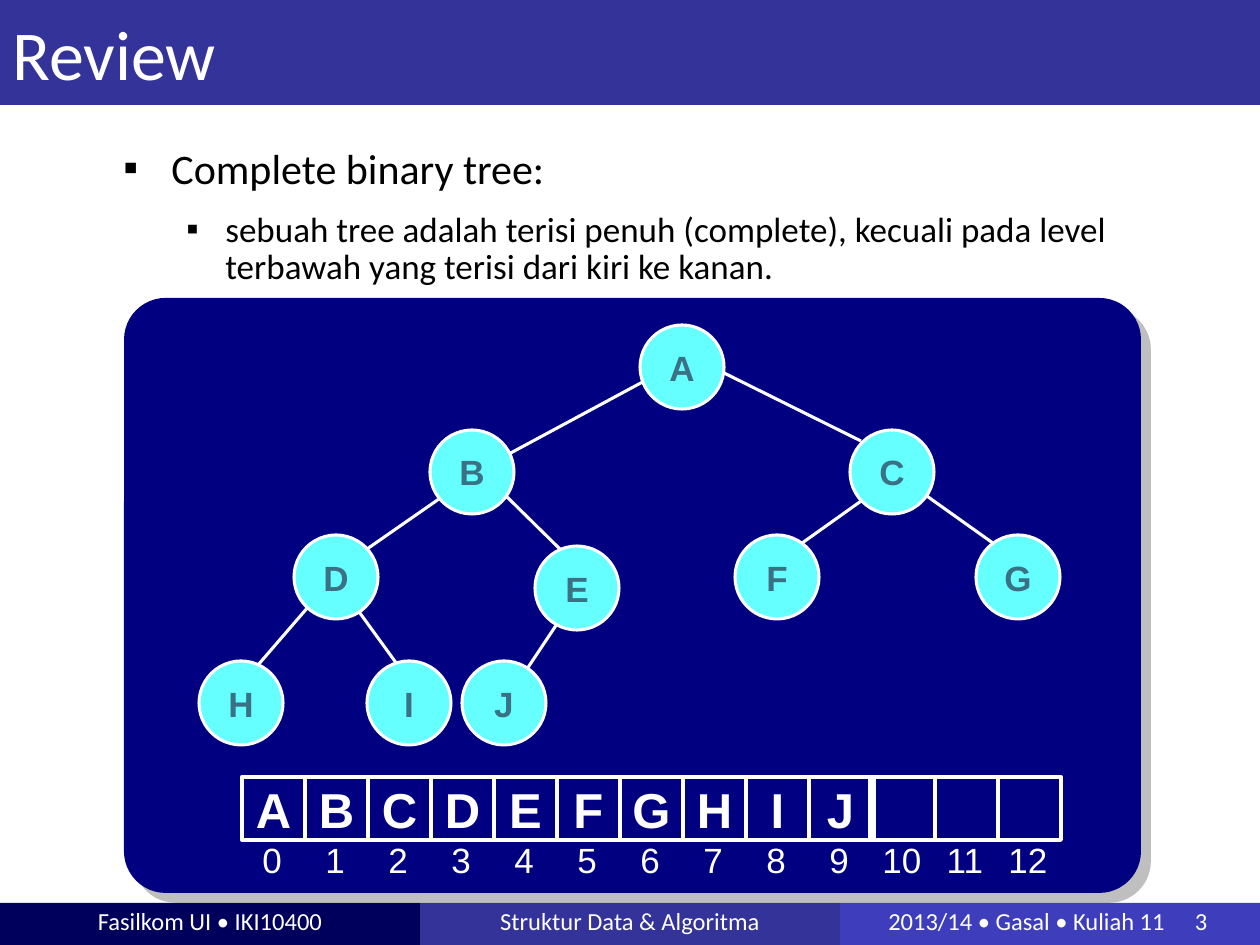
from lxml import etree
from pptx import Presentation
from pptx import util as u
from pptx.dml.color import RGBColor
from pptx.enum import shapes as sh, text as tx
from pptx.oxml.ns import qn

HUES = {"bar": "333399", "dark": "00005C", "light": "3E3EBC", "panel": "000080",
        "node": "66FFFF", "label": "3A7184", "white": "FFFFFF", "black": "000000",
        "shade": "808080"}
TITLE = "Review"
FOOT = [("Fasilkom UI • IKI10400", "dark"),
        ("Struktur Data & Algoritma", "bar"),
        ("2013/14 • Gasal • Kuliah 11", "light")]
PAGE = "3"
POINTS = [
    {"text": "Complete binary tree:", "size": 24, "left": 48, "hang": 48,
     "gap": 3, "line": 1.0},
    {"text": "sebuah tree adalah terisi penuh (complete), kecuali pada level "
             "terbawah yang terisi dari kiri ke kanan.",
     "size": 20, "left": 102, "hang": 39, "gap": 5, "line": 0.9},
]
NODES = {"A": (640, 325), "B": (430, 430), "C": (850, 430), "D": (294, 535),
         "E": (535, 546), "F": (735, 535), "G": (976, 535), "H": (199, 661),
         "I": (367, 661), "J": (462, 661)}
EDGES = [(714, 368, 861, 441), (924, 494, 997, 546), (871, 494, 798, 546),
         (357, 609, 410, 682), (567, 609, 525, 672), (504, 494, 567, 556),
         (462, 483, 357, 556), (315, 599, 252, 672), (650, 378, 494, 462)]
SLOTS = 13
DISC, CELL, ROW_X, ROW_Y = 84, 63, 242, 777


def px(n):
    return u.Emu(round(n * 914400 / 126))


def hue(name):
    return RGBColor.from_string(HUES[name])


def style(para, size, color, face="Calibri", bold=False, align=tx.PP_ALIGN.CENTER):
    para.alignment = align
    font = para.font
    font.size, font.name, font.bold = u.Pt(size), face, bold
    font.color.rgb = hue(color)


def shape(kind, x, y, w, h, fill=None, line=None):
    item = slide.shapes.add_shape(kind, px(x), px(y), px(w), px(h))
    item.shadow.inherit = False
    if fill:
        item.fill.solid()
        item.fill.fore_color.rgb = hue(fill)
    else:
        item.fill.background()
    if line:
        item.line.color.rgb = hue("white")
        item.line.width = u.Pt(line)
    else:
        item.line.fill.background()
    return item


def write(item, words, size, color, face="Arial", bold=False):
    frame = item.text_frame
    frame.word_wrap = False
    frame.vertical_anchor = tx.MSO_ANCHOR.MIDDLE
    frame.text = words
    style(frame.paragraphs[0], size, color, face, bold)
    return frame


def label(x, y, w, h, words, size, face="Arial"):
    box = slide.shapes.add_textbox(px(x), px(y), px(w), px(h))
    return write(box, words, size, "white", face)


def line(x1, y1, x2, y2, width):
    item = slide.shapes.add_connector(sh.MSO_CONNECTOR.STRAIGHT,
                                      px(x1), px(y1), px(x2), px(y2))
    item.line.color.rgb = hue("white")
    item.line.width = u.Pt(width)
    etree.SubElement(item._element.spPr, qn("a:effectLst"))


def shade(item):
    glow = item._element.spPr.find(qn("a:effectLst"))
    cast = etree.SubElement(glow, qn("a:outerShdw"), blurRad="0", dist=str(u.Pt(8)),
                            dir="2700000", algn="ctr", rotWithShape="0")
    tint = etree.SubElement(cast, qn("a:srgbClr"), val=HUES["shade"])
    etree.SubElement(tint, qn("a:alpha"), val="50000")


def bullet(para, left, hang):
    props = para._p.get_or_add_pPr()
    props.set("marL", str(px(left)))
    props.set("indent", str(-px(hang)))
    etree.SubElement(props, qn("a:buFont"), typeface="Arial")
    etree.SubElement(props, qn("a:buChar"), char="▪")
    fonts = props.find(qn("a:defRPr"))
    if fonts is not None:
        props.append(fonts)


deck = Presentation()
deck.slide_width, deck.slide_height = px(1260), px(945)
slide = deck.slides.add_slide(deck.slide_layouts[5])

title = slide.shapes.title
title.left, title.top, title.width, title.height = px(0), px(0), px(1260), px(105)
title.fill.solid()
title.fill.fore_color.rgb = hue("bar")
write(title, TITLE, 40, "white", "Calibri").paragraphs[0].alignment = tx.PP_ALIGN.LEFT

for i, (words, fill) in enumerate(FOOT):
    bar = shape(sh.MSO_SHAPE.RECTANGLE, 420 * i, 903, 420, 42, fill)
    frame = write(bar, words, 14, "white", "Calibri")
    frame.margin_top, frame.margin_bottom = px(0), px(6)
frame.margin_right = px(59)
frame = label(1180, 903, 42, 42, PAGE, 14, "Calibri")
frame.margin_top, frame.margin_bottom = px(0), px(6)

panel = shape(sh.MSO_SHAPE.ROUNDED_RECTANGLE, 124, 298, 1017, 595, "panel")
panel.adjustments[0] = 0.07
shade(panel)

for ends in EDGES:
    line(*ends, 1.75)
for name, (x, y) in NODES.items():
    write(shape(sh.MSO_SHAPE.OVAL, x, y, DISC, DISC, "node", 1.75),
          name, 20, "label", bold=True)

names = list(NODES)
for i in range(SLOTS):
    x = ROW_X + CELL * i
    cell = shape(sh.MSO_SHAPE.RECTANGLE, x, ROW_Y, CELL, CELL, line=2.25)
    if i < len(names):
        write(cell, names[i], 28, "white", bold=True)
    wide = 44 if i < 10 else 64
    label(x + 30 - wide / 2, 832, wide, 55, str(i), 20)
tail = ROW_X + CELL * len(names)
line(tail, ROW_Y, tail, ROW_Y + CELL, 4.5)

body = slide.shapes.add_textbox(px(111), px(136), px(1149), px(160)).text_frame
body.word_wrap = True
for i, point in enumerate(POINTS):
    para = body.add_paragraph() if i else body.paragraphs[0]
    para.text = point["text"]
    para.level = i
    para.line_spacing = point["line"]
    para.space_before, para.space_after = u.Pt(point["gap"]), u.Pt(6)
    style(para, point["size"], "black", align=tx.PP_ALIGN.LEFT)
    bullet(para, point["left"], point["hang"])

deck.save("out.pptx")
